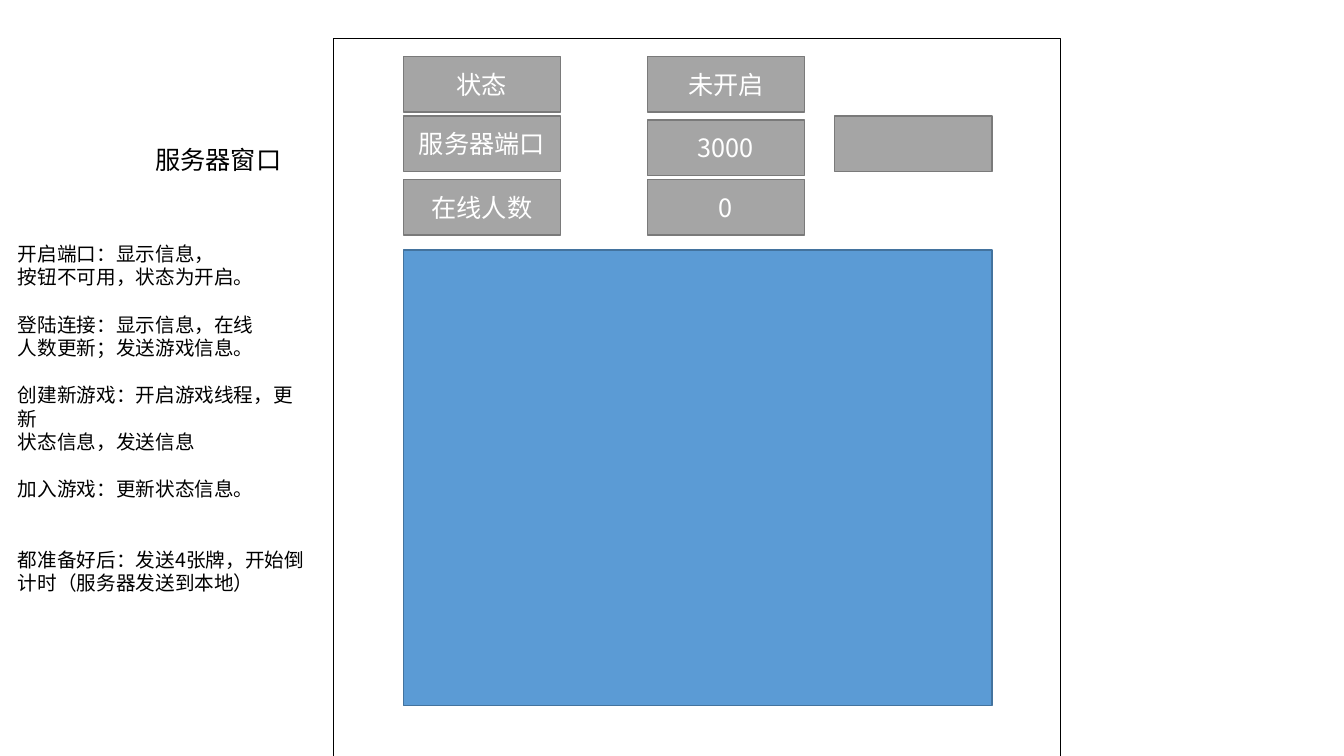
import dataclasses

import pptx
import pptx.dml.color
import pptx.enum.shapes
import pptx.enum.text
import pptx.oxml
import pptx.oxml.ns
import pptx.presentation
import pptx.shapes.autoshape
import pptx.slide
import pptx.text.text
import pptx.util

RGB = pptx.dml.color.RGBColor
ALIGN = pptx.enum.text.PP_ALIGN
ANCHOR = pptx.enum.text.MSO_ANCHOR

PX = 9144
FONT = "Noto Sans CJK SC"
LINE = 1.2

BLACK = RGB(0x00, 0x00, 0x00)
WHITE = RGB(0xFF, 0xFF, 0xFF)
GRAY = RGB(0xA5, 0xA5, 0xA5)
GRAY_EDGE = RGB(0x7A, 0x7A, 0x7A)
BLUE = RGB(0x5B, 0x9B, 0xD5)
BLUE_EDGE = RGB(0x43, 0x73, 0x9E)


@dataclasses.dataclass(frozen=True)
class Box:
    left: int
    top: int
    width: int
    height: int
    fill: RGB = GRAY
    edge: RGB = GRAY_EDGE
    text: str = ""


@dataclasses.dataclass(frozen=True)
class Note:
    text: str
    gap: int = 0


def cell(left: int, top: int, text: str = "") -> Box:
    return Box(left, top, 156, 55, text=text)


BOXES = [
    Box(331, 38, 721, 726, WHITE, BLACK),
    cell(400, 56, "状态"),
    cell(642, 56, "未开启"),
    cell(400, 115, "服务器端口"),
    cell(642, 119, "3000"),
    cell(400, 178, "在线人数"),
    cell(642, 178, "0"),
    cell(828, 115),
    Box(400, 248, 584, 452, BLUE, BLUE_EDGE),
]

NOTES = [
    Note("开启端口：显示信息，"),
    Note("按钮不可用，状态为开启。"),
    Note("登陆连接：显示信息，在线", 1),
    Note("人数更新；发送游戏信息。"),
    Note("创建新游戏：开启游戏线程，更新", 1),
    Note("状态信息，发送信息"),
    Note("加入游戏：更新状态信息。", 1),
    Note("都准备好后：发送4张牌，开始倒计时（服务器发送到本地）", 2),
]


def style(par: pptx.text.text._Paragraph, size: int, color: RGB,
          align: ALIGN = ALIGN.LEFT) -> None:
    par.alignment = align
    par.line_spacing = pptx.util.Pt(size * LINE)
    for run in par.runs:
        run.font.size = pptx.util.Pt(size)
        run.font.name = FONT
        run.font.color.rgb = color
        east = pptx.oxml.parse_xml(
            f'<a:ea {pptx.oxml.ns.nsdecls("a")} typeface="{FONT}"/>')
        run.font._element.find(pptx.oxml.ns.qn("a:latin")).addnext(east)


def draw_box(slide: pptx.slide.Slide, box: Box) -> None:
    shape = slide.shapes.add_shape(
        pptx.enum.shapes.MSO_SHAPE.RECTANGLE,
        box.left * PX, box.top * PX, box.width * PX, box.height * PX)
    shape.shadow.inherit = False
    shape.fill.solid()
    shape.fill.fore_color.rgb = box.fill
    shape.line.color.rgb = box.edge
    shape.line.width = pptx.util.Pt(1)
    if box.text:
        frame = shape.text_frame
        frame.text = box.text
        frame.vertical_anchor = ANCHOR.MIDDLE
        style(frame.paragraphs[0], 18, WHITE, ALIGN.CENTER)


def draw_title(slide: pptx.slide.Slide, text: str) -> None:
    title = slide.shapes.title
    title.left, title.top = 144 * PX, 138 * PX
    title.width, title.height = 146 * PX, 40 * PX
    frame = title.text_frame
    frame.text = text
    frame.word_wrap = False
    frame.auto_size = pptx.enum.text.MSO_AUTO_SIZE.NONE
    frame.vertical_anchor = ANCHOR.TOP
    style(frame.paragraphs[0], 18, BLACK)


def draw_notes(slide: pptx.slide.Slide, notes: list[Note]) -> None:
    size = 14
    area = slide.shapes.add_textbox(8 * PX, 235 * PX, 306 * PX, 512 * PX)
    frame = area.text_frame
    frame.word_wrap = True
    frame.text = "\n".join(note.text for note in notes)
    for par, note in zip(frame.paragraphs, notes):
        style(par, size, BLACK)
        par.space_before = pptx.util.Pt(note.gap * size * LINE)


def main() -> None:
    deck = pptx.Presentation()
    deck.slide_width, deck.slide_height = 1333 * PX, 750 * PX
    slide = deck.slides.add_slide(deck.slide_layouts.get_by_name("Title Only"))
    draw_title(slide, "服务器窗口")
    for box in BOXES:
        draw_box(slide, box)
    draw_notes(slide, NOTES)
    deck.save("out.pptx")


if __name__ == "__main__":
    main()
